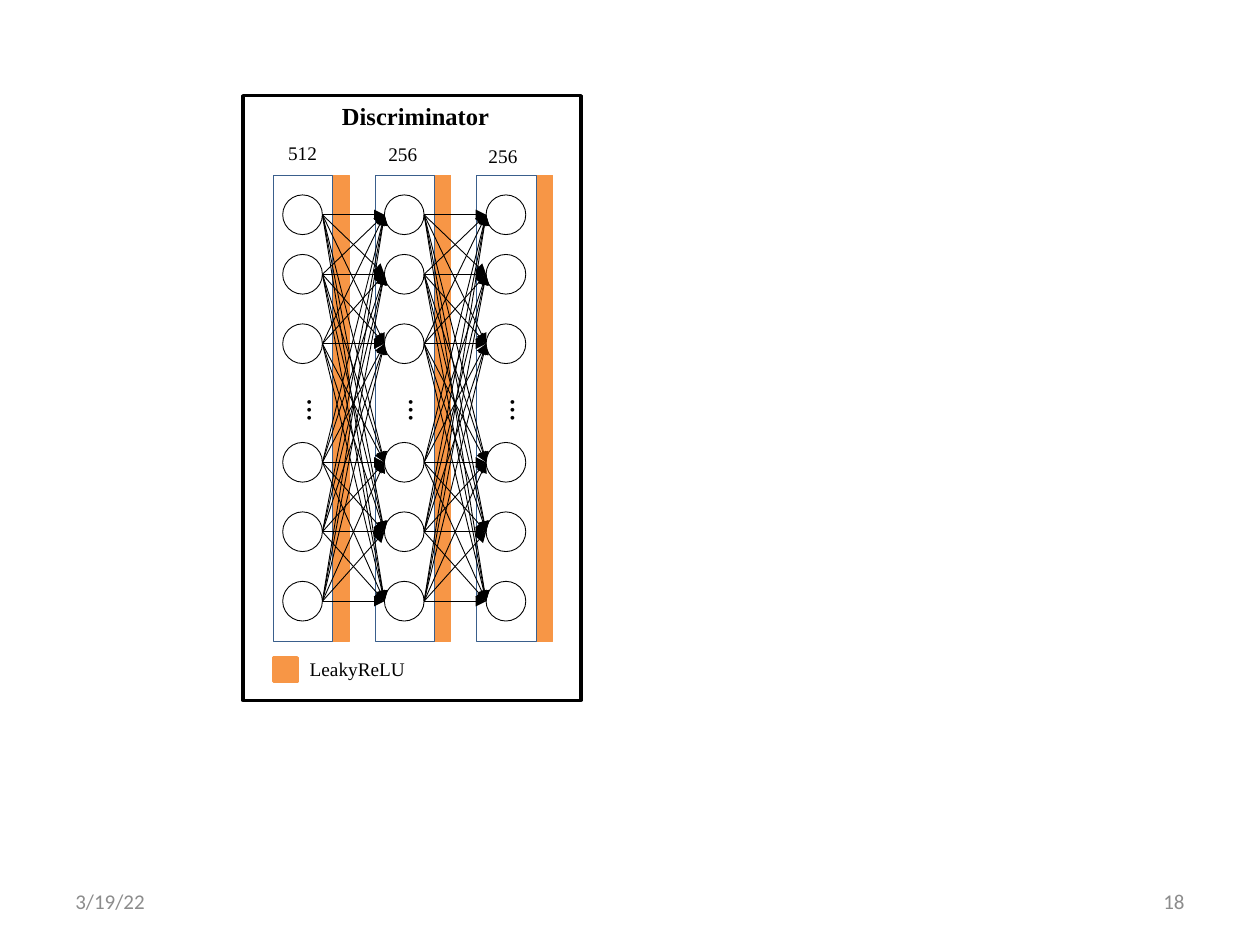
"""Build a slide showing the layers of a discriminator network."""
import itertools

import pptx
import pptx.dml.color
import pptx.enum.shapes
import pptx.enum.text
import pptx.oxml.ns
import pptx.util
from lxml import etree
from pptx.util import Cm

BLACK = pptx.dml.color.RGBColor(0x00, 0x00, 0x00)
WHITE = pptx.dml.color.RGBColor(0xFF, 0xFF, 0xFF)
ORANGE = pptx.dml.color.RGBColor(0xF7, 0x96, 0x46)
BLUE = pptx.dml.color.RGBColor(0x3A, 0x5F, 0x8C)
GRAY = pptx.dml.color.RGBColor(0x8C, 0x8C, 0x8C)

RECTANGLE = pptx.enum.shapes.MSO_SHAPE.RECTANGLE
OVAL = pptx.enum.shapes.MSO_SHAPE.OVAL
LEFT = pptx.enum.text.PP_ALIGN.LEFT
CENTER = pptx.enum.text.PP_ALIGN.CENTER
RIGHT = pptx.enum.text.PP_ALIGN.RIGHT
TOP = pptx.enum.text.MSO_ANCHOR.TOP
MIDDLE = pptx.enum.text.MSO_ANCHOR.MIDDLE

presentation = pptx.Presentation()
presentation.slide_width = Cm(25.4)
presentation.slide_height = Cm(19.05)
slide = presentation.slides.add_slide(presentation.slide_layouts[5])


def add_shape(kind, left, top, width, height, fill, line, line_width):
    shape = slide.shapes.add_shape(kind, Cm(left), Cm(top), Cm(width), Cm(height))
    shape.shadow.inherit = False
    if fill is None:
        shape.fill.background()
    else:
        shape.fill.solid()
        shape.fill.fore_color.rgb = fill
    shape.line.color.rgb = line
    shape.line.width = pptx.util.Pt(line_width)


def add_text(text, left, top, width, height, size, font_name="Times New Roman",
             color=BLACK, alignment=CENTER, anchor=TOP):
    shape = slide.shapes.add_textbox(Cm(left), Cm(top), Cm(width), Cm(height))
    shape.text_frame.word_wrap = True
    shape.text_frame.vertical_anchor = anchor
    shape.text_frame.text = text
    paragraph = shape.text_frame.paragraphs[0]
    paragraph.alignment = alignment
    font = paragraph.runs[0].font
    font.size = pptx.util.Pt(size)
    font.name = font_name
    font.color.rgb = color
    return shape


title = slide.shapes.title
title.left, title.top, title.width, title.height = Cm(6.58), Cm(1.9), Cm(3.6), Cm(0.86)
title.text_frame.text = "Discriminator"
title.text_frame.vertical_anchor = TOP
title.text_frame.auto_size = pptx.enum.text.MSO_AUTO_SIZE.NONE
title.text_frame.paragraphs[0].alignment = CENTER
title_font = title.text_frame.paragraphs[0].runs[0].font
title_font.size = pptx.util.Pt(14)
title_font.name = "Times New Roman"
title_font.bold = True
title_font.color.rgb = BLACK

add_shape(RECTANGLE, 4.9, 1.93, 6.81, 12.19, None, BLACK, 2)

layer_sizes = ["512", "256", "256"]
layer_pitch = 2.05
layer_left, layer_top, layer_width, layer_height = 5.51, 3.53, 1.2, 9.4
neuron_left, neuron_size = 5.7, 0.8
neuron_tops = [3.93, 5.13, 6.53, 8.92, 10.32, 11.72]

for index, layer_size in enumerate(layer_sizes):
    offset = index * layer_pitch
    add_shape(RECTANGLE, layer_left + offset + layer_width, layer_top,
              0.33, layer_height, ORANGE, ORANGE, 0.5)
    add_shape(RECTANGLE, layer_left + offset, layer_top,
              layer_width, layer_height, None, BLUE, 0.5)
    for neuron_top in neuron_tops:
        add_shape(OVAL, neuron_left + offset, neuron_top,
                  neuron_size, neuron_size, WHITE, BLACK, 0.5)
    ellipsis = add_text("…", 5.69 + offset, 7.8, 1.27, 0.94, 18, "Calibri")
    ellipsis.text_frame._txBody.bodyPr.set("vert", "eaVert")
    add_text(layer_size, 5.3 + index * 2.02, 2.72 + index * 0.03, 1.6, 0.74, 11)

for index in range(len(layer_sizes) - 1):
    start_x = neuron_left + index * layer_pitch + neuron_size
    end_x = neuron_left + (index + 1) * layer_pitch
    for start_top, end_top in itertools.product(neuron_tops, repeat=2):
        connector = slide.shapes.add_connector(
            pptx.enum.shapes.MSO_CONNECTOR.STRAIGHT,
            Cm(start_x), Cm(start_top + neuron_size / 2),
            Cm(end_x), Cm(end_top + neuron_size / 2))
        connector.line.color.rgb = BLACK
        connector.line.width = pptx.util.Pt(0.5)
        arrowhead = etree.SubElement(connector.line._get_or_add_ln(),
                                     pptx.oxml.ns.qn("a:tailEnd"))
        arrowhead.set("type", "triangle")
        etree.SubElement(connector._element.spPr, pptx.oxml.ns.qn("a:effectLst"))

add_shape(RECTANGLE, 5.51, 13.26, 0.48, 0.48, ORANGE, ORANGE, 2)
add_text("LeakyReLU", 5.87, 13.13, 2.67, 0.74, 11)

add_text("3/19/22", 1.27, 17.65, 5.92, 1.02, 12, "Calibri", GRAY, LEFT, MIDDLE)
add_text("18", 18.21, 17.65, 5.92, 1.02, 12, "Calibri", GRAY, RIGHT, MIDDLE)

presentation.save("out.pptx")
